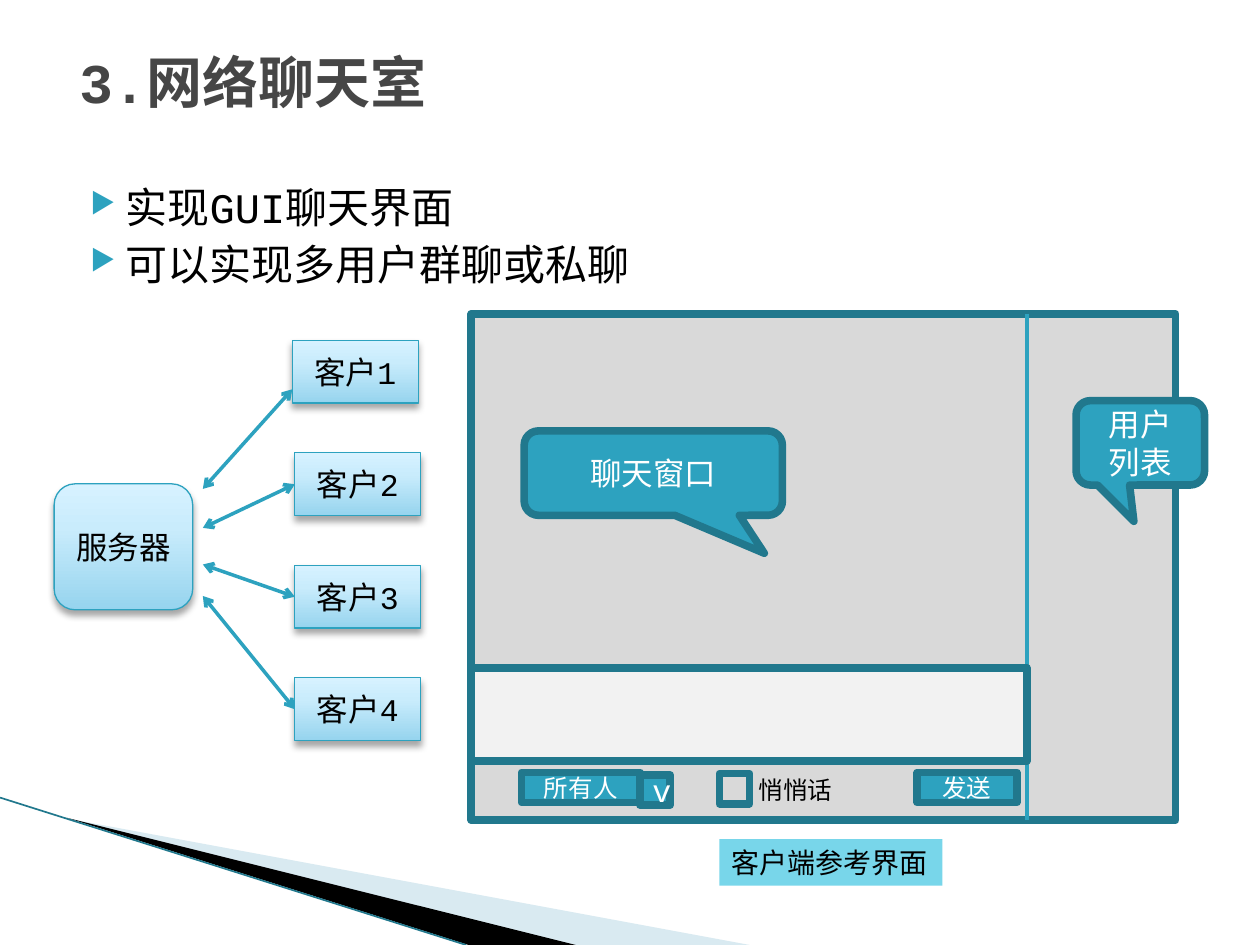
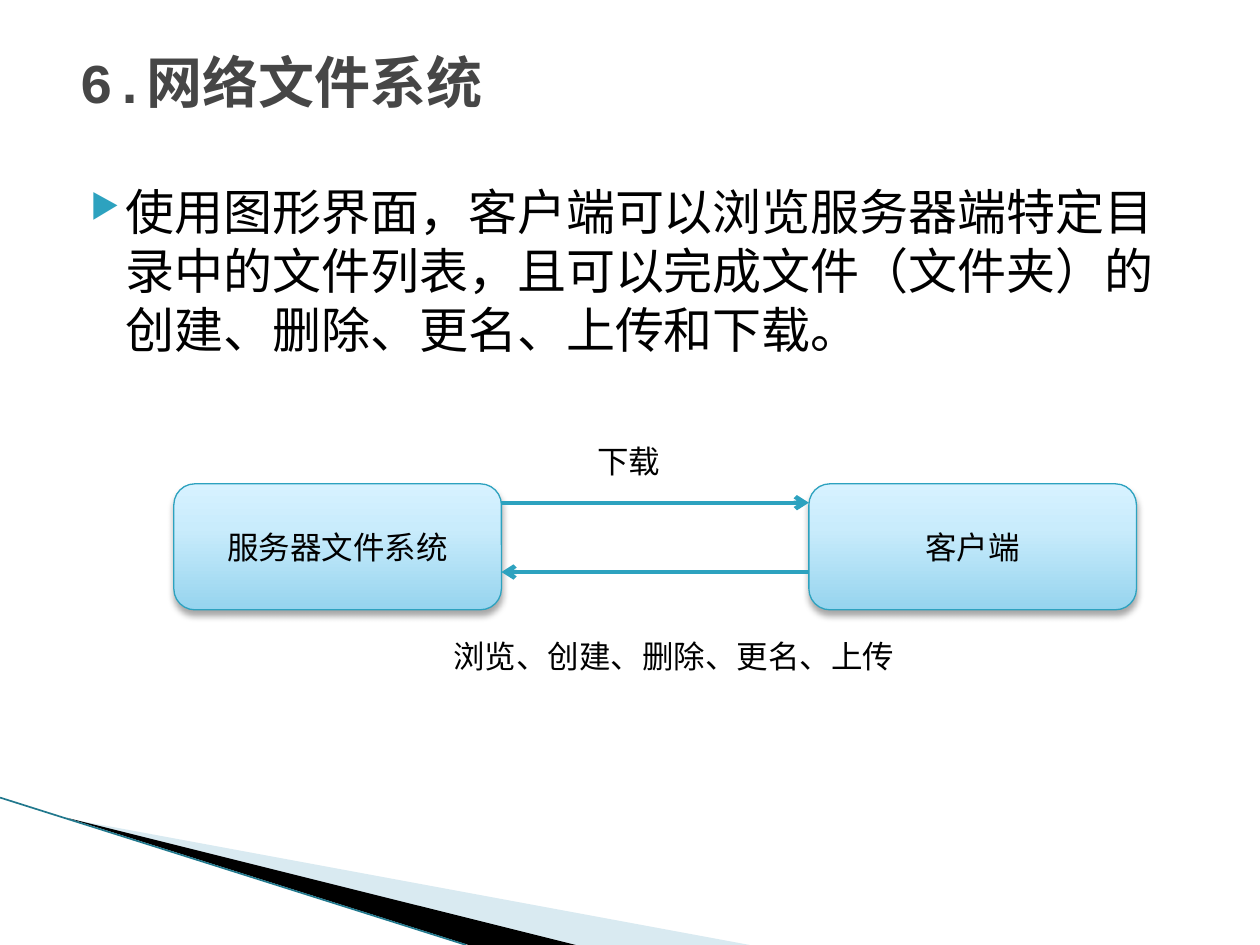
from dataclasses import dataclass

from lxml import etree
from pptx import Presentation
from pptx.dml.color import RGBColor
from pptx.enum.shapes import MSO_CONNECTOR, MSO_SHAPE
from pptx.enum.text import MSO_ANCHOR, MSO_AUTO_SIZE, PP_ALIGN
from pptx.oxml.ns import qn
from pptx.util import Inches, Pt

RECTANGLE = MSO_SHAPE.RECTANGLE
ROUNDED = MSO_SHAPE.ROUNDED_RECTANGLE
CALLOUT = MSO_SHAPE.ROUNDED_RECTANGULAR_CALLOUT
STRAIGHT = MSO_CONNECTOR.STRAIGHT
LEFT, CENTER = PP_ALIGN.LEFT, PP_ALIGN.CENTER
TOP, MIDDLE = MSO_ANCHOR.TOP, MSO_ANCHOR.MIDDLE
LEFT_SIDE = 1


@dataclass(frozen=True)
class Theme:
    font: str = "Courier New"
    black: str = "000000"
    white: str = "FFFFFF"
    title: str = "464646"
    accent: str = "2DA2BF"
    border: str = "21788D"
    panel: str = "D9D9D9"
    field: str = "F2F2F2"
    caption: str = "78D6EA"
    band: str = "A0CBDC"
    gradient: tuple = ((0, "96D4EE"), (65, "C9ECFC"), (100, "D7F2FF"))
    title_size: float = 32
    node_size: float = 18
    caption_size: float = 16
    control_size: float = 14
    thin: float = 0.75
    link: float = 2
    divider: float = 2.5
    thick: float = 4.33


THEME = Theme()

CHAT = {
    "title": "3.网络聊天室",
    "bullets": ["实现GUI聊天界面", "可以实现多用户群聊或私聊"],
    "bullet_size": 24,
    "server": ("服务器", (0.43, 3.84, 1.1, 1)),
    "clients": ["客户1", "客户2", "客户3", "客户4"],
    "server_ends": [3.88, 4.19, 4.48, 4.73],
    "callouts": [
        ("聊天窗口", (4.16, 3.42, 2.05, 0.67), (0.43, 0.95, 0.17)),
        ("用户\n列表", (8.54, 3.18, 1.02, 0.67), (-0.05, 0.93, 0.17)),
    ],
    "buttons": [
        ("发送", (7.28, 6.13, 0.79, 0.24), THEME.control_size),
        ("所有人", (4.14, 6.13, 0.94, 0.24), THEME.control_size),
        ("v", (5.08, 6.15, 0.24, 0.24), THEME.node_size),
    ],
    "checkbox": ("悄悄话", (5.92, 6.1, 0.79, 0.31)),
    "caption": ("客户端参考界面", (5.71, 6.66, 1.77, 0.37)),
}

FILES = {
    "title": "6.网络文件系统",
    "bullets": ["使用图形界面，客户端可以浏览服务器端特定目录中的文件列表，"
                "且可以完成文件（文件夹）的创建、删除、更名、上传和下载。"],
    "bullet_size": 28,
    "nodes": [("服务器文件系统", 1.38), ("客户端", 6.42)],
    "labels": [
        ("浏览、创建、删除、更名、上传", (3.5, 5.01, 3.74, 0.4)),
        ("下载", (4.64, 3.46, 0.71, 0.4)),
    ],
}

BANDS = [
    ([(0.55, 6.5), (5.95, 7.5), (4.56, 7.5)], THEME.band, 40),
    ([(0.53, 6.49), (4.57, 7.5), (3.72, 7.5)], THEME.black, 100),
]


def color(value):
    return RGBColor.from_string(value)


def add_xml(parent, tag, **attributes):
    child = etree.SubElement(parent, qn(tag))
    for name, value in attributes.items():
        child.set(name, str(value))
    return child


def set_text(shape, text, size, text_color=THEME.black, align=CENTER,
             anchor=MIDDLE, bold=False):
    frame = shape.text_frame
    frame.text = text
    frame.vertical_anchor = anchor
    for paragraph in frame.paragraphs:
        paragraph.alignment = align
        for run in paragraph.runs:
            run.font.name = THEME.font
            run.font.size = Pt(size)
            run.font.bold = bold
            run.font.color.rgb = color(text_color)
            add_xml(run.font._element, "a:ea", typeface=THEME.font)


def add_box(shapes, kind, box, fill=None, line=THEME.border, width=THEME.thick):
    shape = shapes.add_shape(kind, *map(Inches, box))
    shape.shadow.inherit = False
    if fill:
        shape.fill.solid()
        shape.fill.fore_color.rgb = color(fill)
    else:
        shape.fill.background()
    shape.line.color.rgb = color(line)
    shape.line.width = Pt(width)
    return shape


def add_node(shapes, kind, box, text):
    shape = add_box(shapes, kind, box, line=THEME.accent, width=THEME.thin)
    shape.fill.gradient()
    shape.fill.gradient_angle = 90
    properties = shape._element.spPr
    stops = properties.find(qn("a:gradFill")).find(qn("a:gsLst"))
    for stop in list(stops):
        stops.remove(stop)
    for position, value in THEME.gradient:
        stop = add_xml(stops, "a:gs", pos=position * 1000)
        add_xml(stop, "a:srgbClr", val=value)
    shadow = add_xml(properties.find(qn("a:effectLst")), "a:outerShdw",
                     blurRad=Pt(4), dist=Pt(3), dir=90 * 60000, rotWithShape=0)
    shadow_color = add_xml(shadow, "a:srgbClr", val=THEME.black)
    add_xml(shadow_color, "a:alpha", val=35000)
    set_text(shape, text, THEME.node_size)
    return shape


def add_line(shapes, start, end, width, line=THEME.accent, arrows=()):
    connector = shapes.add_connector(STRAIGHT, *map(Inches, start + end))
    connector.line.color.rgb = color(line)
    connector.line.width = Pt(width)
    for arrow in arrows:
        add_xml(connector.line._get_or_add_ln(), arrow, type="arrow")
    add_xml(connector._element.spPr, "a:effectLst")
    return connector


def add_label(shapes, box, text, size, align=LEFT, fill=None):
    label = shapes.add_textbox(*map(Inches, box))
    label.text_frame.word_wrap = False
    label.text_frame.auto_size = MSO_AUTO_SIZE.SHAPE_TO_FIT_TEXT
    if fill:
        label.fill.solid()
        label.fill.fore_color.rgb = color(fill)
    set_text(label, text, size, align=align, anchor=TOP)


def add_bands(shapes):
    for points, fill, opacity in BANDS:
        corners = [(Inches(x), Inches(y)) for x, y in points]
        builder = shapes.build_freeform(*corners[0])
        builder.add_line_segments(corners[1:])
        band = builder.convert_to_shape()
        band.shadow.inherit = False
        band.fill.solid()
        band.fill.fore_color.rgb = color(fill)
        band.line.fill.background()
        fill_color = band._element.spPr.find(qn("a:solidFill"))[0]
        add_xml(fill_color, "a:alpha", val=opacity * 1000)
    add_line(shapes, (0, 6.33), (3.7, 7.5), 0.95, THEME.border)


def add_bullets(shapes, bullets, size):
    body = shapes.add_textbox(*map(Inches, (0.5, 1.39, 9, 5.18)))
    body.text_frame.word_wrap = True
    set_text(body, "\n".join(bullets), size, align=LEFT, anchor=TOP)
    for paragraph in body.text_frame.paragraphs:
        paragraph.space_before = Pt(4)
        properties = paragraph._p.get_or_add_pPr()
        properties.set("marL", str(Inches(0.4)))
        properties.set("indent", str(Inches(-0.28)))
        bullet_color = add_xml(properties, "a:buClr")
        add_xml(bullet_color, "a:srgbClr", val=THEME.accent)
        add_xml(properties, "a:buSzPct", val=68000)
        add_xml(properties, "a:buChar", char="▶")


def start_slide(presentation, content):
    slide = presentation.slides.add_slide(presentation.slide_layouts[5])
    add_bands(slide.shapes)
    add_bullets(slide.shapes, content["bullets"], content["bullet_size"])
    title = slide.shapes.title
    title.left, title.top, title.width, title.height = map(
        Inches, (0.53, 0.21, 9, 0.87))
    set_text(title, content["title"], THEME.title_size, THEME.title, LEFT, bold=True)
    return slide


def add_network(shapes):
    text, box = CHAT["server"]
    add_node(shapes, ROUNDED, box, text)
    top, step, width, height = 2.7, 0.893, 1, 0.5
    for index, (text, end) in enumerate(zip(CHAT["clients"], CHAT["server_ends"])):
        left = 2.34 if index else 2.32
        y = top + index * step
        client = add_node(shapes, RECTANGLE, (left, y, width, height), text)
        start = (left, y + height / 2 if index else 3.09)
        link = add_line(shapes, start, (1.61, end), THEME.link,
                        arrows=("a:headEnd", "a:tailEnd"))
        if index:
            link.begin_connect(client, LEFT_SIDE)


def add_chat_window(shapes):
    left, top, width, height = 3.74, 2.49, 5.59, 4.02
    split_x, split_y = 8.15, 5.3
    add_box(shapes, RECTANGLE, (left, top, width, height), THEME.panel)
    add_line(shapes, (split_x, top), (split_x, top + height), THEME.divider)
    add_line(shapes, (left, split_y), (split_x, split_y), THEME.divider)
    add_box(shapes, RECTANGLE, (left, split_y, split_x - left, 0.74), THEME.field)
    for text, box, size in CHAT["buttons"]:
        button = add_box(shapes, RECTANGLE, box, THEME.accent)
        set_text(button, text, size, THEME.white)
    for text, box, adjustments in CHAT["callouts"]:
        callout = add_box(shapes, CALLOUT, box, THEME.accent)
        for index, value in enumerate(adjustments):
            callout.adjustments[index] = value
        set_text(callout, text, THEME.node_size, THEME.white)
    add_box(shapes, RECTANGLE, (5.71, 6.14, 0.24, 0.24))


def build_chat_slide(presentation):
    shapes = start_slide(presentation, CHAT).shapes
    add_network(shapes)
    add_chat_window(shapes.add_group_shape().shapes)
    text, box = CHAT["caption"]
    add_label(shapes, box, text, THEME.caption_size, fill=THEME.caption)
    text, box = CHAT["checkbox"]
    add_label(shapes, box, text, THEME.control_size, CENTER)


def build_files_slide(presentation):
    shapes = start_slide(presentation, FILES).shapes
    width = 2.6
    for text, left in FILES["nodes"]:
        add_node(shapes, ROUNDED, (left, 3.84, width, 1), text)
    server_edge = FILES["nodes"][0][1] + width
    client_edge = FILES["nodes"][1][1]
    for y, start, end in ((3.99, server_edge, client_edge),
                          (4.54, client_edge, server_edge)):
        add_line(shapes, (start, y), (end, y), THEME.divider, arrows=("a:tailEnd",))
    for text, box in FILES["labels"]:
        add_label(shapes, box, text, THEME.node_size)


def main():
    presentation = Presentation()
    presentation.slide_width = Inches(10)
    presentation.slide_height = Inches(7.5)
    build_chat_slide(presentation)
    build_files_slide(presentation)
    presentation.save("out.pptx")


if __name__ == "__main__":
    main()
